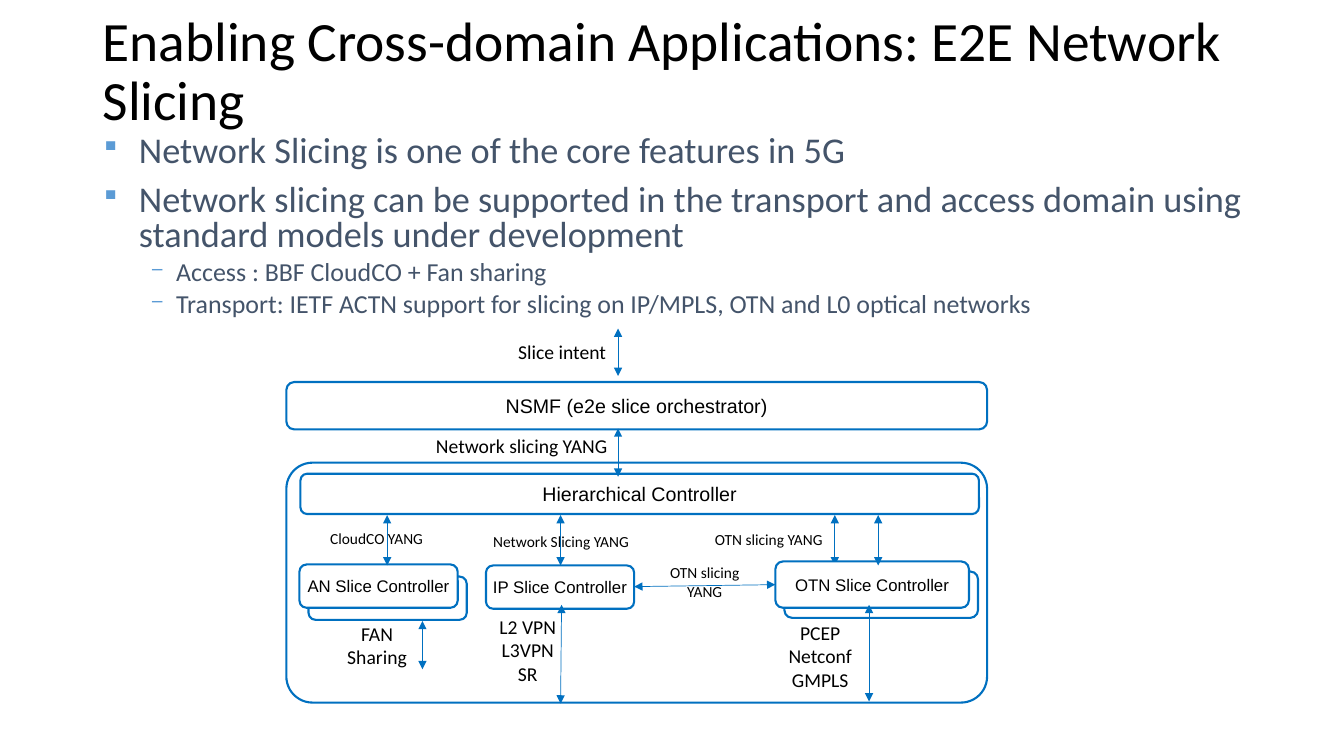
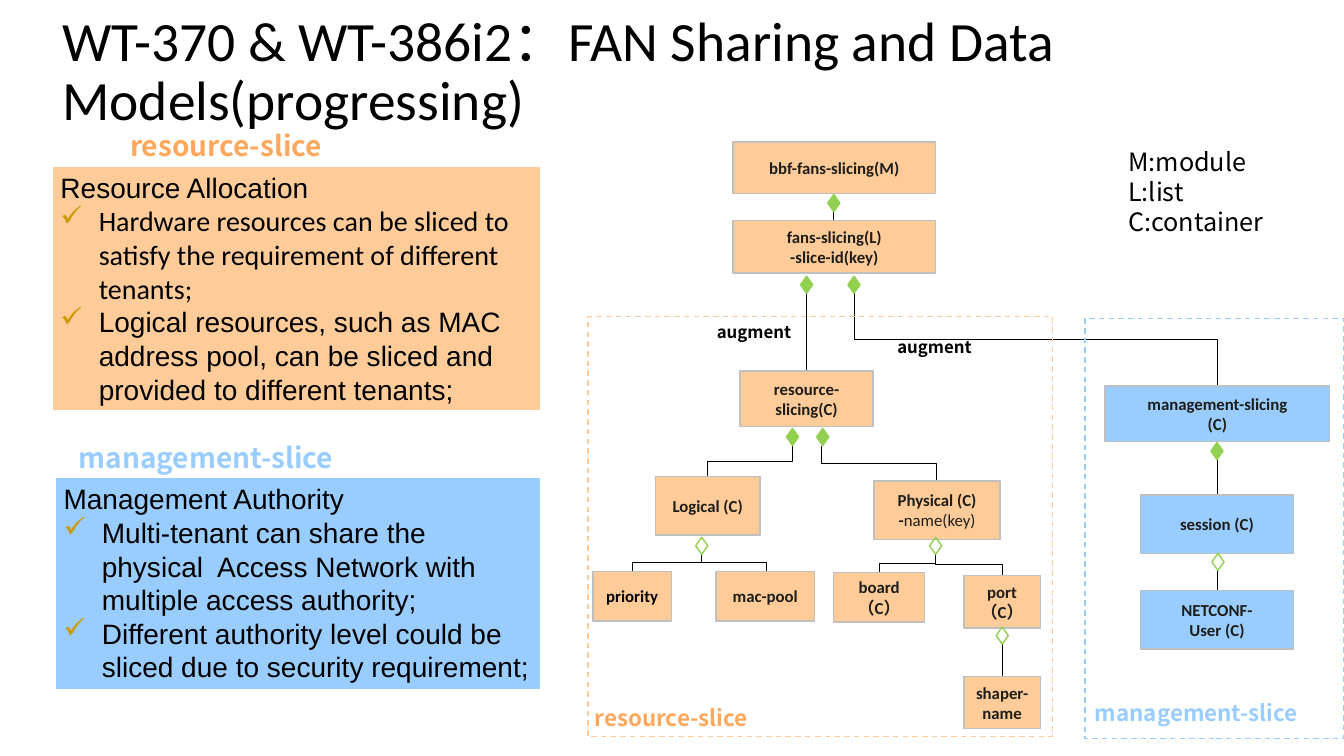
from dataclasses import dataclass, replace
from typing import Any, Optional

from lxml.etree import SubElement
from pptx import Presentation
from pptx.dml.color import RGBColor
from pptx.enum.dml import MSO_LINE
from pptx.enum.shapes import MSO_CONNECTOR, MSO_SHAPE
from pptx.enum.text import MSO_ANCHOR, PP_ALIGN
from pptx.oxml.ns import qn
from pptx.util import Inches, Pt

# Shared colours
BLACK, WHITE, INK, SLATE = "000000", "FFFFFF", "1D1D1A", "44546A"
BLUE, BULLET_BLUE, GOLD = "0070C0", "5B9BD5", "CC9900"
PEACH, ORANGE, SKY, GREEN, GREY = "FFCC99", "FFA75B", "99CCFF", "92D050", "BFBFBF"

Area = tuple[float, float, float, float]
LEFT, CENTER = PP_ALIGN.LEFT, PP_ALIGN.CENTER
CJK = "Noto Sans CJK SC"


@dataclass(frozen=True)
class Style:
    size: float
    face: str = "Calibri"
    color: str = BLACK
    bold: bool = False
    align: PP_ALIGN = CENTER


@dataclass(frozen=True)
class Bullet:
    mark: str
    color: str
    indent: float
    hanging: float
    percent: int = 100


@dataclass(frozen=True)
class Para:
    text: str
    style: Style
    bullet: Optional[Bullet] = None
    plain_tail: str = ""
    spacing: float = 1
    before: float = 0
    level: int = 0


@dataclass(frozen=True)
class Look:
    fill: Optional[str] = None
    line: str = BLUE
    weight: float = 1.5
    dashed: bool = False


@dataclass(frozen=True)
class Frame:
    margins: tuple[float, float] = (0.1, 0.05)
    anchor: MSO_ANCHOR = MSO_ANCHOR.TOP
    wrap: bool = True


@dataclass(frozen=True)
class Node:
    area: Area
    text: str = ""
    size: float = 12
    fill: Optional[str] = None


TITLE = Style(39.6, align=LEFT)
MIDDLE = Frame(anchor=MSO_ANCHOR.MIDDLE)
TIGHT = Frame(margins=(0, 0))


# Drawing functions
def rgb(color: str) -> RGBColor:
    return RGBColor.from_string(color)


def set_all(target: Any, formats: dict[str, Any]) -> None:
    for name, value in formats.items():
        setattr(target, name, value)


def lines(text: str, style: Style) -> list[Para]:
    return [Para(line, style) for line in text.split("\n")]


def add_run(paragraph: Any, text: str, style: Style) -> None:
    run = paragraph.add_run()
    run.text = text
    set_all(run.font, {"name": style.face, "size": Pt(style.size), "bold": style.bold})
    run.font.color.rgb = rgb(style.color)


def add_bullet(paragraph: Any, bullet: Bullet) -> None:
    props = paragraph._p.get_or_add_pPr()
    props.set("marL", str(Inches(bullet.indent)))
    props.set("indent", str(-Inches(bullet.hanging)))
    tint = SubElement(props, qn("a:buClr"))
    SubElement(tint, qn("a:srgbClr"), val=bullet.color)
    SubElement(props, qn("a:buSzPct"), val=str(bullet.percent * 1000))
    SubElement(props, qn("a:buChar"), char=bullet.mark)


def write(shape: Any, paras: list[Para], frame: Frame) -> None:
    body = shape.text_frame
    across, down = (Inches(margin) for margin in frame.margins)
    set_all(body, {"margin_left": across, "margin_right": across,
                   "margin_top": down, "margin_bottom": down,
                   "vertical_anchor": frame.anchor, "word_wrap": frame.wrap})
    for index, para in enumerate(paras):
        paragraph = body.add_paragraph() if index else body.paragraphs[0]
        set_all(paragraph, {"alignment": para.style.align, "level": para.level,
                            "line_spacing": para.spacing,
                            "space_before": Pt(para.before)})
        if para.bullet:
            add_bullet(paragraph, para.bullet)
        add_run(paragraph, para.text, para.style)
        if para.plain_tail:
            add_run(paragraph, para.plain_tail, replace(para.style, bold=False))


def add_text(slide: Any, area: Area, paras: list[Para], frame: Frame = Frame()) -> None:
    write(slide.shapes.add_textbox(*map(Inches, area)), paras, frame)


def add_title(slide: Any, area: Area, text: str) -> None:
    add_text(slide, area, [Para(text, TITLE, spacing=0.9)], MIDDLE)


def add_shape(slide: Any, kind: MSO_SHAPE, area: Area, look: Look,
              paras: Optional[list[Para]] = None, frame: Frame = MIDDLE) -> Any:
    shape = slide.shapes.add_shape(kind, *map(Inches, area))
    shape.shadow.inherit = False
    if look.fill:
        shape.fill.solid()
        shape.fill.fore_color.rgb = rgb(look.fill)
    else:
        shape.fill.background()
    shape.line.color.rgb = rgb(look.line)
    shape.line.width = Pt(look.weight)
    if look.dashed:
        shape.line.dash_style = MSO_LINE.DASH
    if paras:
        write(shape, paras, frame)
    return shape


def add_line(slide: Any, ends: Area, color: str, kind: MSO_CONNECTOR = MSO_CONNECTOR.STRAIGHT) -> Any:
    connector = slide.shapes.add_connector(kind, *map(Inches, ends))
    connector.line.color.rgb = rgb(color)
    connector.line.width = Pt(0.5)
    SubElement(connector._element.spPr, qn("a:effectLst"))
    return connector


def add_arrow(slide: Any, ends: Area) -> None:
    outline = add_line(slide, ends, BLUE).line._get_or_add_ln()
    for tip in ("a:headEnd", "a:tailEnd"):
        SubElement(outline, qn(tip), type="triangle")


def add_branch(slide: Any, ends: Area) -> None:
    """Join an upper point to a lower one: down, across, down."""
    x1, y1, x2, y2 = ends
    if x1 == x2:
        add_line(slide, ends, BLACK)
        return
    across, drop = abs(x2 - x1), y2 - y1
    left, top = (x1 + x2 - drop) / 2, (y1 + y2 - across) / 2
    elbow = add_line(slide, (left, top, left + drop, top + across), BLACK, MSO_CONNECTOR.ELBOW)
    turn = elbow._element.spPr.find(qn("a:xfrm"))
    turn.set("rot", str(90 * 60000))
    if x2 > x1:
        turn.set("flipV", "1")


deck = Presentation()
set_all(deck, {"slide_width": Inches(13.33), "slide_height": Inches(7.5)})
slicing, sharing = (deck.slides.add_slide(deck.slide_layouts[6]) for _ in range(2))

# Slide 1: title and bullets
add_title(slicing, (0.92, 0.4, 11.5, 0.65),
          "Enabling Cross-domain Applications: E2E Network Slicing")
SQUARE = Bullet("▪", BULLET_BLUE, 0.38, 0.38, 75)
DASH = Bullet("‒", BULLET_BLUE, 0.75, 0.25, 75)
POINT, DETAIL = Style(25.9, color=SLATE, align=LEFT), Style(18.5, color=SLATE, align=LEFT)
features = [
    "Network Slicing is one of the core features in 5G",
    "Network slicing can be supported in the transport and access domain using "
    "standard models under development"]
domains = [
    "Access : BBF CloudCO + Fan sharing",
    "Transport: IETF ACTN support for slicing on IP/MPLS, OTN and L0 optical networks"]
add_text(slicing, (0.9, 1.3, 12.06, 2.08),
         [Para(text, POINT, SQUARE, spacing=0.8, before=10) for text in features]
         + [Para(text, DETAIL, DASH, spacing=0.8, before=5, level=1) for text in domains])

# Slide 1: controllers, the first OTN arrow passing behind its box
add_arrow(slicing, (8.28, 5.11, 8.28, 5.61))
domain_frame = add_shape(slicing, MSO_SHAPE.ROUNDED_RECTANGLE, (2.84, 4.59, 6.95, 2.38), Look())
domain_frame.adjustments[0] = 0.109
controllers = [
    Node((7.78, 5.67, 1.92, 0.46), fill=WHITE),
    Node((3.06, 5.72, 1.57, 0.43)),
    Node((2.97, 5.6, 1.57, 0.43), "AN Slice Controller", fill=WHITE),
    Node((4.82, 5.61, 1.47, 0.43), "IP Slice Controller"),
    Node((7.69, 5.57, 1.92, 0.46), "OTN Slice Controller", fill=WHITE),
    Node((2.84, 3.79, 6.95, 0.47), "NSMF (e2e slice orchestrator)", 14),
    Node((2.98, 4.7, 6.73, 0.4), "Hierarchical Controller", 14)]
for node in controllers:
    label = lines(node.text, Style(node.size, "Arial")) if node.text else None
    add_shape(slicing, MSO_SHAPE.ROUNDED_RECTANGLE, node.area, Look(node.fill), label,
              replace(MIDDLE, wrap=False))

# Slide 1: interfaces
for x in (3.84, 5.56, 8.71):
    add_arrow(slicing, (x, 5.11, x, 5.61))
for ends in [(6.13, 3.26, 6.13, 3.73), (6.13, 4.25, 6.13, 4.73), (6.29, 5.82, 7.69, 5.8),
             (4.19, 6.16, 4.19, 6.64), (5.57, 6, 5.56, 6.98), (8.62, 6, 8.62, 6.96)]:
    add_arrow(slicing, ends)
interfaces = [
    Node((4.07, 3.32, 3.01, 0.34), "Slice intent", 14),
    Node((4.06, 4.26, 2.23, 0.34), "Network slicing YANG", 14),
    Node((2.84, 5.2, 1.79, 0.29), "CloudCO YANG", 11),
    Node((4.67, 5.23, 1.79, 0.29), "Network Slicing YANG", 11),
    Node((6.79, 5.21, 1.67, 0.29), "OTN slicing YANG", 11),
    Node((6.38, 5.54, 1.22, 0.47), "OTN slicing YANG", 11),
    Node((3.19, 6.12, 1.1, 0.57), "FAN Sharing", 14),
    Node((4.81, 6.05, 0.85, 1.04), "L2 VPN\nL3VPN\nSR", 14),
    Node((7.61, 6.11, 1.05, 0.81), "PCEP\nNetconf\nGMPLS", 14)]
for node in interfaces:
    add_text(slicing, node.area, lines(node.text, Style(node.size)))

# Slide 2: title and explanation panels
add_title(sharing, (0.52, 0.4, 12.81, 0.65),
          "WT-370 & WT-386i2：FAN Sharing and Data Models(progressing)")
CHECK = Bullet("✓", GOLD, 0.38, 0.38)
PANEL = Style(20, "Arial", align=LEFT)
resource_points = [
    Para("Resource Allocation", PANEL),
    Para("Hardware resources can be sliced to satisfy the requirement of different tenants;",
         replace(PANEL, face="Calibri"), CHECK),
    Para("Logical resources, such as MAC address pool, can be sliced and provided to "
         "different tenants;", PANEL, CHECK)]
management_points = [
    Para("Management Authority", PANEL),
    Para("Multi-tenant can share the physical  Access Network with multiple access authority;",
         PANEL, CHECK),
    Para("Different authority level could be sliced due to security requirement;", PANEL, CHECK)]
for area, fill, points in [((0.52, 1.65, 4.84, 2.42), PEACH, resource_points),
                           ((0.55, 4.74, 4.81, 2.1), SKY, management_points)]:
    add_shape(sharing, MSO_SHAPE.RECTANGLE, area, Look(fill, WHITE, 0.75), points,
              Frame(margins=(0.08, 0.04)))

# Slide 2: links of the model tree, each from top to bottom
for ends in [(8.27, 2.09, 8.27, 2.19), (8, 2.91, 8, 3.68), (8.47, 2.9, 12.07, 3.83),
             (12.07, 4.56, 12.07, 4.91), (12.07, 5.66, 12.07, 5.86),
             (7.86, 4.42, 7.02, 4.73), (8.15, 4.42, 9.29, 4.77),
             (6.96, 5.49, 6.27, 5.67), (6.96, 5.49, 7.6, 5.67),
             (9.28, 5.49, 8.72, 5.68), (9.28, 5.49, 9.94, 5.71), (9.94, 6.38, 9.94, 6.71)]:
    add_branch(sharing, ends)

# Slide 2: model nodes
MODEL = Style(12, color=INK, bold=True)
models = [
    Node((7.27, 1.41, 2.01, 0.51), "bbf-fans-slicing(M)", fill=PEACH),
    Node((7.27, 2.19, 2.01, 0.52), "fans-slicing(L)\n-slice-id(key)", fill=PEACH),
    Node((7.34, 3.68, 1.32, 0.55), "resource-slicing(C)", fill=PEACH),
    Node((6.5, 4.73, 1.04, 0.58), "Logical (C)", fill=PEACH),
    Node((5.88, 5.67, 0.78, 0.49), "priority", fill=PEACH),
    Node((7.1, 5.67, 0.98, 0.49), "mac-pool", fill=PEACH),
    Node((8.27, 5.68, 0.9, 0.49), "board（C）", fill=PEACH),
    Node((9.56, 5.71, 0.76, 0.52), "port（C）", fill=PEACH),
    Node((9.56, 6.71, 0.76, 0.52), "shaper-name", fill=PEACH),
    Node((10.96, 3.83, 2.23, 0.55), "management-slicing\n(C)", fill=SKY),
    Node((11.31, 4.91, 1.52, 0.58), "session (C)", fill=SKY),
    Node((11.31, 5.86, 1.52, 0.58), "NETCONF-\nUser (C)", fill=SKY)]
for node in models:
    style = replace(MODEL, color=BLACK) if node.text == "priority" else MODEL
    add_shape(sharing, MSO_SHAPE.RECTANGLE, node.area, Look(node.fill, GREY, 1),
              lines(node.text, style))
add_shape(sharing, MSO_SHAPE.RECTANGLE, (8.67, 4.77, 1.25, 0.58), Look(PEACH, GREY, 1),
          [Para("Physical (C)", MODEL), Para("-", MODEL, plain_tail="name(key)")])

# Slide 2: filled and hollow diamonds
filled = [(8.21, 1.93), (7.94, 2.74), (8.41, 2.74), (7.8, 4.25), (8.1, 4.25), (12.01, 4.39)]
hollow = [(6.9, 5.33), (9.22, 5.33), (9.88, 6.22), (12.02, 5.49)]
for fill, corners in ((GREEN, filled), (None, hollow)):
    for left, top in corners:
        add_shape(sharing, MSO_SHAPE.DIAMOND, (left, top, 0.12, 0.17), Look(fill, GREEN, 1))

# Slide 2: slice borders, captions and legend
for area, color in [((5.83, 3.14, 4.61, 4.17), PEACH), ((10.76, 3.16, 2.57, 4.17), SKY)]:
    add_shape(sharing, MSO_SHAPE.RECTANGLE, area, Look(None, color, 1, dashed=True))
CAPTION = Style(20, CJK, bold=True, align=LEFT)
captions = [
    ((1.29, 1.28, 2.26, 0.34), "resource-slice", 20, ORANGE),
    ((0.78, 4.37, 2.82, 0.34), "management-slice", 20, SKY),
    ((5.9, 6.99, 1.63, 0.27), "resource-slice", 16, ORANGE),
    ((10.86, 6.94, 2.09, 0.27), "management-slice", 16, SKY),
    ((7.11, 3.19, 1.16, 0.2), "augment", 12, BLACK),
    ((8.9, 3.34, 1.16, 0.2), "augment", 12, BLACK)]
for area, text, size, color in captions:
    add_text(sharing, area, lines(text, replace(CAPTION, size=size, color=color)), TIGHT)
add_text(sharing, (11.19, 1.45, 1.67, 0.91),
         lines("M:module\nL:list\nC:container", Style(18, CJK, align=LEFT)), TIGHT)

deck.save("out.pptx")
